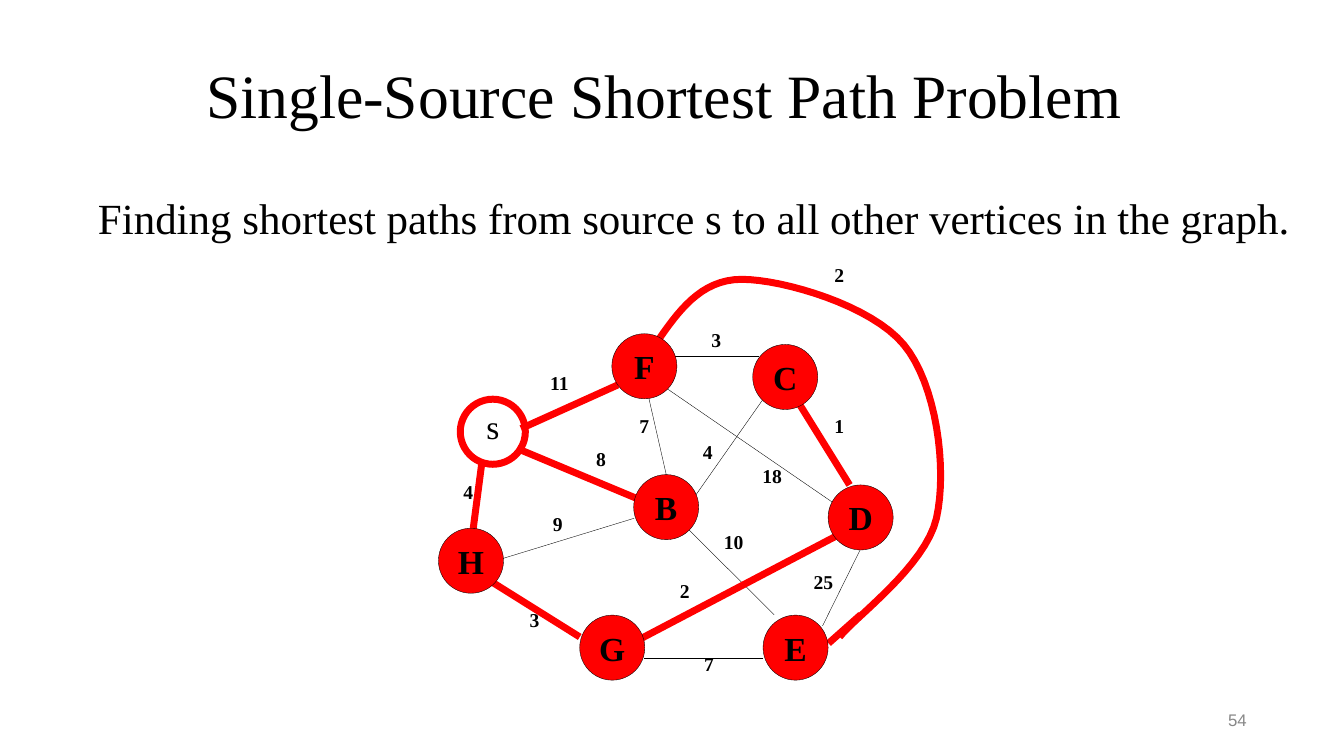
from lxml import etree
from pptx import Presentation
from pptx.dml.color import RGBColor
from pptx.enum.shapes import MSO_CONNECTOR, MSO_SHAPE
from pptx.enum.text import MSO_ANCHOR, PP_ALIGN
from pptx.oxml.ns import qn
from pptx.util import Cm, Pt

STRAIGHT = MSO_CONNECTOR.STRAIGHT
OVAL = MSO_SHAPE.OVAL
TOP, MIDDLE = MSO_ANCHOR.TOP, MSO_ANCHOR.MIDDLE
LEFT, CENTER, RIGHT = PP_ALIGN.LEFT, PP_ALIGN.CENTER, PP_ALIGN.RIGHT

BLACK = RGBColor(0, 0, 0)
RED = RGBColor(255, 0, 0)
GRAY = RGBColor(136, 136, 136)
SERIF = "Times New Roman"
SANS = "Arial"

NODE_DIAMETER = 1.64
LABEL_WIDTH = 1.73
THIN, THICK = 0.25, 5
CURVE_STEPS = 16

NODES = {
    "H": (11.87, 14.13),
    "B": (16.79, 12.78),
    "F": (16.24, 9.23),
    "E": (20.05, 16.32),
    "D": (21.69, 13.04),
    "C": (19.79, 9.5),
    "G": (15.43, 16.32),
}
SOURCE_CENTER = (12.42, 10.88)

OTHER_EDGES = [
    ((22.07, 13.06), (20.73, 15.77), "25", (20.75, 14.22)),
    ((16.23, 9.5), (16.79, 11.96), "7", (16.24, 10.31)),
    ((17.32, 12.78), (19.23, 10.06), "4", (17.84, 10.95)),
    ((21.16, 12.78), (16.79, 9.78), "18", (19.46, 11.56)),
    ((12.42, 14.15), (15.98, 13.06), "9", (14.06, 12.78)),
    ((16.94, 8.97), (19.13, 8.97), "3", (18.05, 8.13)),
    ((17.32, 13.31), (19.51, 15.49), "10", (18.49, 13.23)),
    ((19.23, 16.59), (16.23, 16.59), "7", (17.87, 16.31)),
]
PATH_EDGES = [
    ((16.08, 16.13), (21.26, 13.41), "2", (17.26, 14.45)),
    ((11.89, 13.59), (12.14, 11.68), "4", (11.8, 11.96)),
    ((20.07, 10.06), (21.41, 12.22), "1", (21.15, 10.31)),
    ((14.61, 16.05), (12.42, 14.68), "3", (13.47, 15.19)),
    ((13.13, 10.8), (15.57, 9.7), "11", (14.1, 9.22)),
    ((13.03, 11.3), (16.31, 12.67), "8", (15.15, 11.13)),
    ((21.69, 15.49), (20.88, 16.21), "2", (21.15, 6.5)),
]
CURVE_START = (16.51, 8.69)
CURVE_SEGMENTS = [
    ((17.07, 7.87), (17.65, 7.04), (18.69, 7.04)),
    ((19.74, 7.04), (21.97, 7.7), (22.78, 8.69)),
    ((23.6, 9.68), (23.88, 11.81), (23.6, 13.06)),
    ((23.32, 14.27), (21.56, 15.54), (21.16, 16.05)),
]


def write_text(shape, text, size, align, anchor, inset, bold=False, font=SERIF, color=BLACK):
    frame = shape.text_frame
    frame.text = text
    frame.word_wrap = True
    frame.vertical_anchor = anchor
    frame.margin_left = frame.margin_right = Cm(inset)
    frame.margin_top = frame.margin_bottom = Cm(inset)
    paragraph = frame.paragraphs[0]
    paragraph.alignment = align
    run_font = paragraph.runs[0].font
    run_font.name = font
    run_font.size = Pt(size)
    run_font.bold = bold
    run_font.color.rgb = color


def add_text(slide, box, text, size, align, anchor=TOP, **style):
    shape = slide.shapes.add_textbox(*map(Cm, box))
    write_text(shape, text, size, align, anchor, 0.13, **style)


def add_edge(slide, start, end, color, width):
    edge = slide.shapes.add_connector(STRAIGHT, *map(Cm, start + end))
    edge.line.color.rgb = color
    edge.line.width = Pt(width)
    etree.SubElement(edge._element.spPr, qn("a:effectLst"))


def add_weight(slide, text, position):
    center, top = position
    box = (center - LABEL_WIDTH / 2, top, LABEL_WIDTH, 1.02)
    add_text(slide, box, text, 14, CENTER, bold=True)


def add_node(slide, name, center, line_color, line_width, bold):
    left, top = (value - NODE_DIAMETER / 2 for value in center)
    node = slide.shapes.add_shape(
        OVAL, Cm(left), Cm(top), Cm(NODE_DIAMETER), Cm(NODE_DIAMETER))
    node.shadow.inherit = False
    node.line.color.rgb = line_color
    node.line.width = Pt(line_width)
    write_text(node, name, 24, CENTER, MIDDLE, 0, bold=bold)
    return node


def curve_points():
    start = CURVE_START
    for first, second, end in CURVE_SEGMENTS:
        for step in range(1, CURVE_STEPS + 1):
            t = step / CURVE_STEPS
            u = 1 - t
            yield tuple(
                Cm(u**3 * a + 3 * u**2 * t * b + 3 * u * t**2 * c + t**3 * d)
                for a, b, c, d in zip(start, first, second, end))
        start = end


def add_curved_edge(slide):
    builder = slide.shapes.build_freeform(*map(Cm, CURVE_START))
    builder.add_line_segments(curve_points(), close=False)
    curve = builder.convert_to_shape()
    curve.shadow.inherit = False
    curve.fill.background()
    curve.line.color.rgb = RED
    curve.line.width = Pt(THICK)


def add_graph(slide):
    for edges, color, width in ((OTHER_EDGES, BLACK, THIN), (PATH_EDGES, RED, THICK)):
        for start, end, _, _ in edges:
            add_edge(slide, start, end, color, width)
    add_curved_edge(slide)
    for name, center in NODES.items():
        node = add_node(slide, name, center, BLACK, THIN, True)
        node.fill.solid()
        node.fill.fore_color.rgb = RED
    source = add_node(slide, "s", SOURCE_CENTER, RED, THICK, False)
    source.fill.background()
    source.text_frame.margin_bottom = Cm(0.28)
    for _, _, weight, position in OTHER_EDGES + PATH_EDGES:
        add_weight(slide, weight, position)


def main():
    presentation = Presentation()
    presentation.slide_width = Cm(33.87)
    presentation.slide_height = Cm(19.05)
    slide = presentation.slides.add_slide(presentation.slide_layouts[6])
    add_text(slide, (2.34, 0.18, 28.8, 4.39),
             "Single-Source Shortest Path Problem", 44, CENTER, MIDDLE)
    add_text(slide, (2.34, 4.7, 30.56, 1.78),
             "Finding shortest paths from source s to all other vertices in the graph.",
             30.7, LEFT)
    add_text(slide, (23.93, 17.78, 7.62, 0.74), "54", 12, RIGHT, MIDDLE,
             font=SANS, color=GRAY)
    add_graph(slide)
    presentation.save("out.pptx")


if __name__ == "__main__":
    main()
